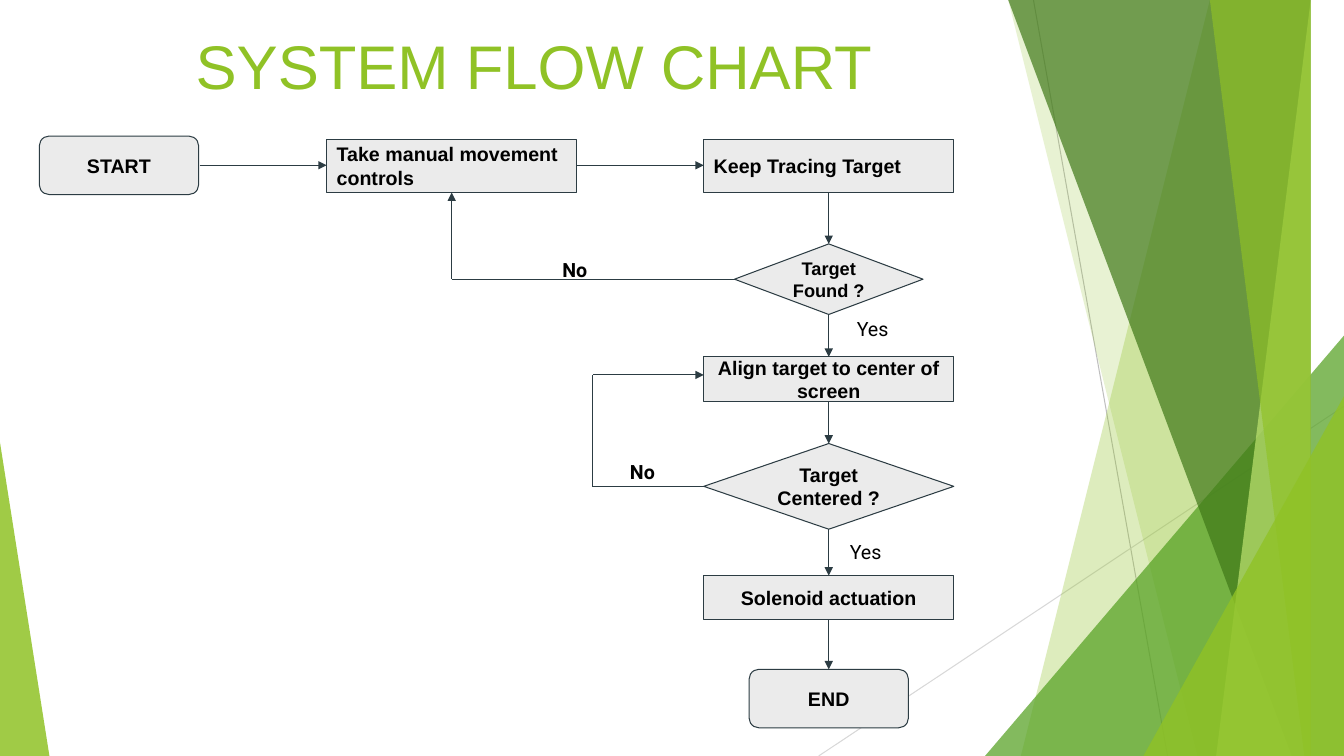
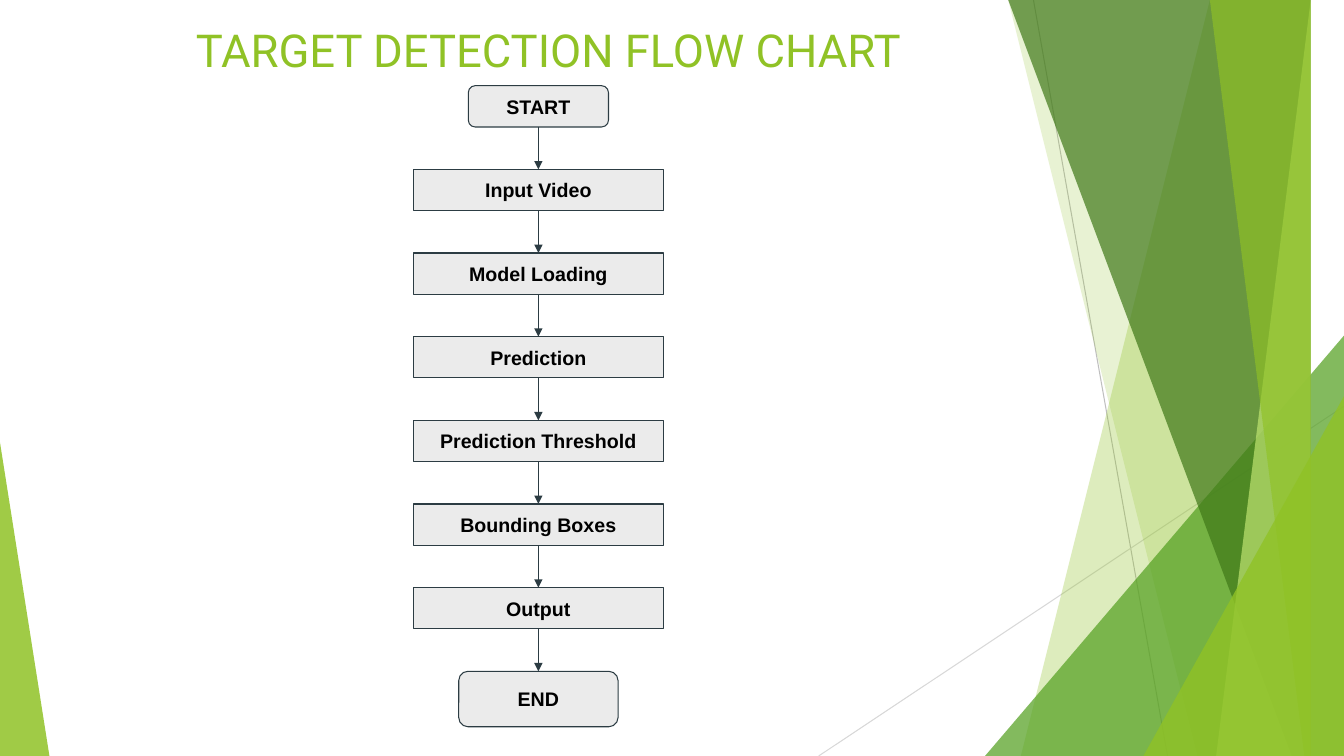
from itertools import pairwise
from lxml.etree import SubElement
from pptx import Presentation
from pptx.dml.color import RGBColor as RGB
from pptx.enum.shapes import MSO_CONNECTOR as LINK, MSO_SHAPE as FORM
from pptx.enum.text import MSO_ANCHOR as ANCHOR, PP_ALIGN as ALIGN
from pptx.oxml.ns import qn
from pptx.util import Inches, Pt

WIDE, HIGH = 13.33, 7.5
HUES = {
    "lime": "90C226", "green": "54A021", "dark": "3F7818", "pale": "BFE471",
    "gray": "BFBFBF", "mist": "D8D8D8", "box": "EBEBEB", "edge": "2C3C43", "ink": "000000",
}
FORMS = {"box": FORM.RECTANGLE, "end": FORM.ROUNDED_RECTANGLE, "test": FORM.DIAMOND}
LEFT, MID = ALIGN.LEFT, ALIGN.CENTER

RAYS = [((10.25, 0), (11.58, HIGH), "gray"), ((WIDE, 4.03), (8.12, HIGH), "mist")]
SHARDS = [
    ("band", 12.28, 10.04, "lime", 30),
    ("band", 10.5, 11.82, "lime", 20),
    ("peak", 9.77, 3.33, "green", 72),
    ("band", 10.21, 12.91, "dark", 70),
    ("band", 13.03, 11.92, "pale", 70),
    ("band", 11.96, 13.18, "lime", 65),
    ("peak", 11.34, 3.93, "lime", 80),
    ("wedge", 0.49, 4.39, "lime", 85),
]

WIDTH, ROW = 2.48, 0.53
AXIS, TOP = 8.22, 1.38
START = ("START", "end", 0.39, 1.35, 1.58, 0.58)
MANUAL = ("Take manual movement controls", "box", 3.24, TOP, WIDTH, ROW, 14, LEFT)
STEPS = [
    ("Keep Tracing Target", "box", WIDTH, TOP, ROW, 14, LEFT),
    ("Target Found ?", "test", 1.87, 2.42, 0.7, 13, MID),
    ("Align target to center of screen", "box", WIDTH, 3.54, 0.44, 14, MID),
    ("Target Centered ?", "test", WIDTH, 4.4, 0.85, 14, MID),
    ("Solenoid actuation", "box", WIDTH, 5.71, 0.44, 14, MID),
    ("END", "end", 1.58, 6.64, 0.58, 14, MID),
]
ROUTES = [
    [(1.98, 1.64), (3.24, 1.64)],
    [(5.72, 1.64), (6.98, 1.64)],
    [(7.29, 2.77), (4.48, 2.77), (4.48, 1.91)],
    [(6.98, 4.83), (5.88, 4.83), (5.88, 3.72), (6.98, 3.72)],
]
TAGS = [("No", 5.48, 2.46, True), ("No", 6.15, 4.46, True),
        ("Yes", 8.4, 3.04, False), ("Yes", 8.33, 5.25, False)]

STAGES = ["START", "Input Video", "Model Loading", "Prediction", "Prediction Threshold",
          "Bounding Boxes", "Output", "END"]
ENDS = {"START": (1.39, 0.41), "END": (1.58, 0.55)}


def span(*nums):
    return [Inches(n) for n in nums]


def hue(name):
    return RGB.from_string(HUES[name])


def style(item, **vals):
    for key, val in vals.items():
        setattr(item, key, val)


def write(shape, text, pad, align, color, **font):
    frame = shape.text_frame
    frame.text = text
    style(frame, word_wrap=True, vertical_anchor=ANCHOR.MIDDLE, margin_left=Inches(0.1),
          margin_right=Inches(0.1), margin_top=Inches(pad), margin_bottom=Inches(pad))
    para = frame.paragraphs[0]
    para.alignment = align
    run = para.runs[0].font
    style(run, **font)
    run.color.rgb = hue(color)


def line(slide, start, end, color="edge", head=False):
    link = slide.shapes.add_connector(LINK.STRAIGHT, *span(*start, *end))
    link.line.color.rgb = hue(color)
    link.line.width = Pt(0.75)
    if head:
        SubElement(link.line._get_or_add_ln(), qn("a:tailEnd"), type="triangle")
    SubElement(link.element.spPr, qn("a:effectLst"))
    return link


def route(slide, points):
    legs = list(pairwise(points))
    for leg in legs:
        line(slide, *leg, head=leg is legs[-1])


def node(slide, text, kind, x, y, w, h, size=14, align=MID):
    shape = slide.shapes.add_shape(FORMS[kind], *span(x, y, w, h))
    shape.shadow.inherit = False
    shape.fill.solid()
    shape.fill.fore_color.rgb = hue("box")
    shape.line.color.rgb = hue("edge")
    shape.line.width = Pt(0.75)
    write(shape, text, 0.1, align, "ink", name="Arial", size=Pt(size), bold=True)


def chain(slide, axis, steps):
    for text, kind, w, y, h, size, align in steps:
        node(slide, text, kind, axis - w / 2, y, w, h, size, align)
    for above, below in pairwise(steps):
        route(slide, [(axis, above[3] + above[4]), (axis, below[3])])


def shard(slide, kind, a, b, color, alpha):
    shapes = slide.shapes
    if kind == "band":
        pen = shapes.build_freeform(a, 0, scale=Inches(1))
        pen.add_line_segments([(WIDE, 0), (WIDE, HIGH), (b, HIGH)], close=True)
        shape = pen.convert_to_shape()
    else:
        x, w = (a, WIDE - a) if kind == "peak" else (0, a)
        shape = shapes.add_shape(FORM.ISOSCELES_TRIANGLE, *span(x, b, w, HIGH - b))
        shape.adjustments[0] = 1 if kind == "peak" else 0
    shape.shadow.inherit = False
    shape.fill.solid()
    shape.fill.fore_color.rgb = hue(color)
    tint = shape.element.spPr.find(".//" + qn("a:srgbClr"))
    SubElement(tint, qn("a:alpha"), val=str(alpha * 1000))
    shape.line.fill.background()
    return shape


def decorate(slide):
    art = [line(slide, *ray) for ray in RAYS] + [shard(slide, *row) for row in SHARDS]
    for part in art:
        slide.slide_layout.shapes.element.append(part.element)


def page(deck, text, box, size, face):
    slide = deck.slides.add_slide(deck.slide_layouts[5])
    title = slide.shapes.title
    style(title, **dict(zip(("left", "top", "width", "height"), span(*box))))
    write(title, text, 0.05, MID, "lime", name=face, size=Pt(size))
    return slide


def system(deck):
    slide = page(deck, "SYSTEM FLOW CHART", (0, 0.17, 10.6, 0.95), 44, "Arial")
    decorate(slide)
    node(slide, *START)
    node(slide, *MANUAL)
    chain(slide, AXIS, STEPS)
    for points in ROUTES:
        route(slide, points)
    for text, x, y, bold in TAGS:
        tag = slide.shapes.add_textbox(*span(x, y, 1.13, 0.44))
        write(tag, text, 0.1, LEFT, "ink", name="Roboto", size=Pt(14), bold=bold)


def detect(deck):
    slide = page(deck, "TARGET DETECTION FLOW CHART", (0.74, 0.2, 9.4, 0.58), 32.4, "Roboto")
    steps = []
    for i, text in enumerate(STAGES):
        w, h = ENDS.get(text, (WIDTH, 0.41))
        kind = "end" if text in ENDS else "box"
        steps.append((text, kind, w, 0.85 + 0.83 * i, h, 14, MID))
    chain(slide, 5.34, steps)


def main():
    deck = Presentation()
    deck.slide_width, deck.slide_height = span(WIDE, HIGH)
    system(deck)
    detect(deck)
    deck.save("out.pptx")


if __name__ == "__main__":
    main()
